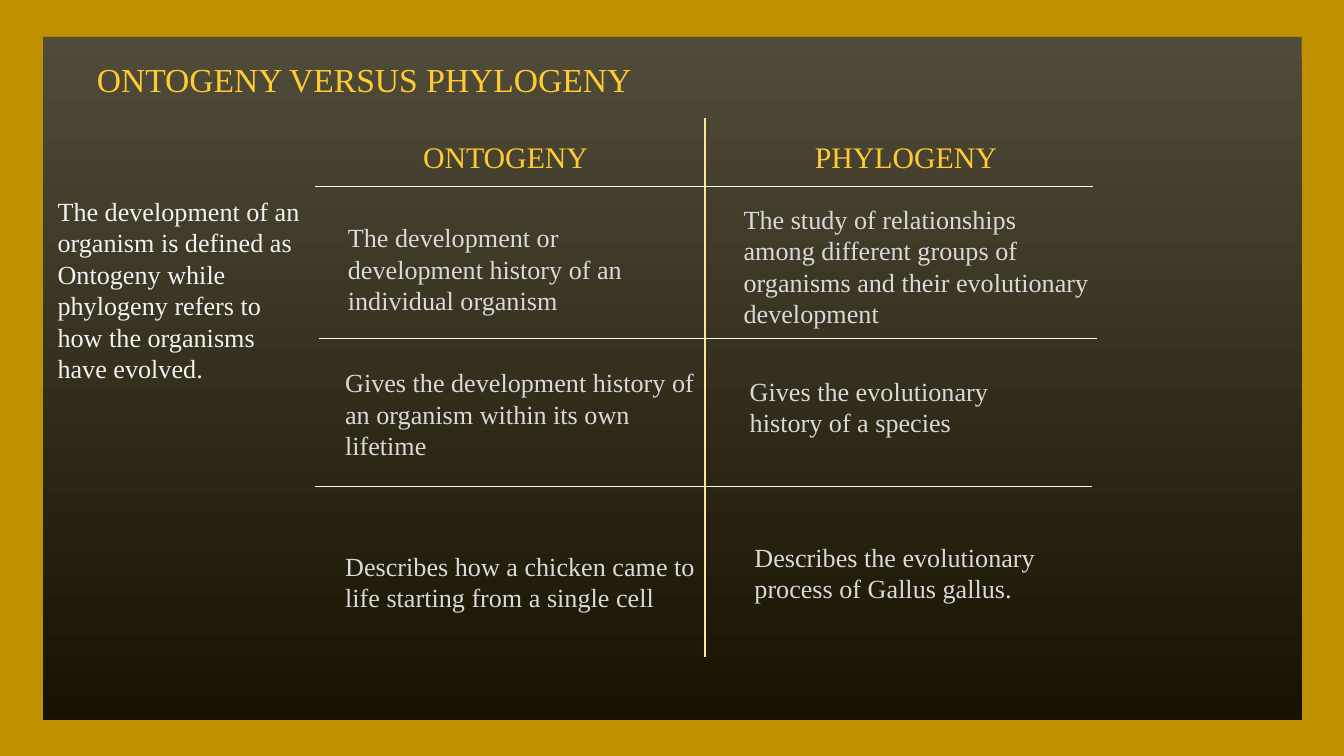
from dataclasses import dataclass

from lxml import etree
from pptx import Presentation
from pptx.dml.color import RGBColor
from pptx.enum.shapes import MSO_CONNECTOR, MSO_SHAPE
from pptx.enum.text import MSO_ANCHOR, MSO_AUTO_SIZE, PP_ALIGN
from pptx.oxml.ns import qn
from pptx.util import Emu, Pt

RECT = MSO_SHAPE.RECTANGLE
LINE = MSO_CONNECTOR.STRAIGHT
TOP = MSO_ANCHOR.TOP
FIXED = MSO_AUTO_SIZE.NONE
LEFT = PP_ALIGN.LEFT
SCALE = 4572


@dataclass(frozen=True)
class Theme:
    font: str = "Times New Roman"
    back: str = "BF9000"
    fade: tuple = ("424242", "010101")
    alpha: int = 87
    gold: str = "FFCB33"
    cell: str = "D9D9D9"
    intro: str = "F2F2F2"
    rule: str = "F9F9F9"
    split: str = "FFE599"
    title: int = 18
    head: int = 16
    body: int = 14
    width: float = 0.75


THEME = Theme()
HEADS = [
    ("ONTOGENY", (610, 196, 302, 74)),
    ("PHYLOGENY", (1193, 196, 358, 74)),
]
CELLS = [
    ("The development or development history of an individual organism", (498, 320, 556, 162)),
    ("Gives the development history of an organism within its own lifetime", (494, 536, 592, 162)),
    ("Describes how a chicken came to life starting from a single cell", (494, 809, 570, 114)),
    ("The study of relationships among different groups of organisms and their evolutionary development",
     (1087, 293, 560, 208)),
    ("Gives the evolutionary history of a species", (1096, 549, 504, 114)),
    ("Describes the evolutionary process of Gallus gallus.", (1103, 796, 502, 114)),
]
INTRO = ("The development of an organism is defined as Ontogeny while phylogeny "
         "refers to how the organisms have evolved.")
RULES = [(469, 1626, 278), (475, 1632, 504), (469, 1625, 724)]


def px(*vals):
    return [Emu(val * SCALE) for val in vals]


def rgb(code):
    return RGBColor.from_string(code)


def apply(item, form):
    for name, value in form.items():
        setattr(item, name, value)


def write(shape, text, size, color):
    frame = shape.text_frame
    apply(frame, {"word_wrap": True, "auto_size": FIXED, "vertical_anchor": TOP})
    para = frame.paragraphs[0]
    para.alignment = LEFT
    run = para.add_run()
    run.text = text
    apply(run.font, {"name": THEME.font, "size": Pt(size)})
    run.font.color.rgb = rgb(color)


def add_text(slide, text, box, size, color):
    write(slide.shapes.add_textbox(*px(*box)), text, size, color)


def add_title(slide, text, box):
    title = slide.shapes.title
    apply(title, dict(zip(("left", "top", "width", "height"), px(*box))))
    write(title, text, THEME.title, THEME.gold)


def add_line(slide, ends, color):
    line = slide.shapes.add_connector(LINE, *px(*ends))
    line.line.color.rgb = rgb(color)
    line.line.width = Pt(THEME.width)
    etree.SubElement(line._element.spPr, qn("a:effectLst"))


def add_panel(slide, box):
    panel = slide.shapes.add_shape(RECT, *px(*box))
    panel.shadow.inherit = False
    panel.line.fill.background()
    panel.fill.gradient()
    panel.fill.gradient_angle = 270
    for stop, color in zip(panel.fill.gradient_stops, THEME.fade):
        stop.color.rgb = rgb(color)
    for node in panel._element.spPr.iter(qn("a:srgbClr")):
        etree.SubElement(node, qn("a:alpha"), val=str(THEME.alpha * 1000))
    slide.shapes._spTree.insert(2, panel._element)


def main():
    deck = Presentation()
    deck.slide_width, deck.slide_height = px(2000, 1125)
    slide = deck.slides.add_slide(deck.slide_layouts[5])
    slide.background.fill.solid()
    slide.background.fill.fore_color.rgb = rgb(THEME.back)

    add_panel(slide, (64, 55, 1873, 1016))
    add_title(slide, "ONTOGENY VERSUS PHYLOGENY", (124, 78, 1000, 80))
    add_line(slide, (1049, 176, 1049, 978), THEME.split)
    for start, end, y in RULES:
        add_line(slide, (start, y, end, y), THEME.rule)
    for text, box in HEADS:
        add_text(slide, text, box, THEME.head, THEME.gold)
    for text, box in CELLS:
        add_text(slide, text, box, THEME.body, THEME.cell)
    add_text(slide, INTRO, (66, 281, 402, 302), THEME.body, THEME.intro)

    deck.save("out.pptx")


if __name__ == "__main__":
    main()
